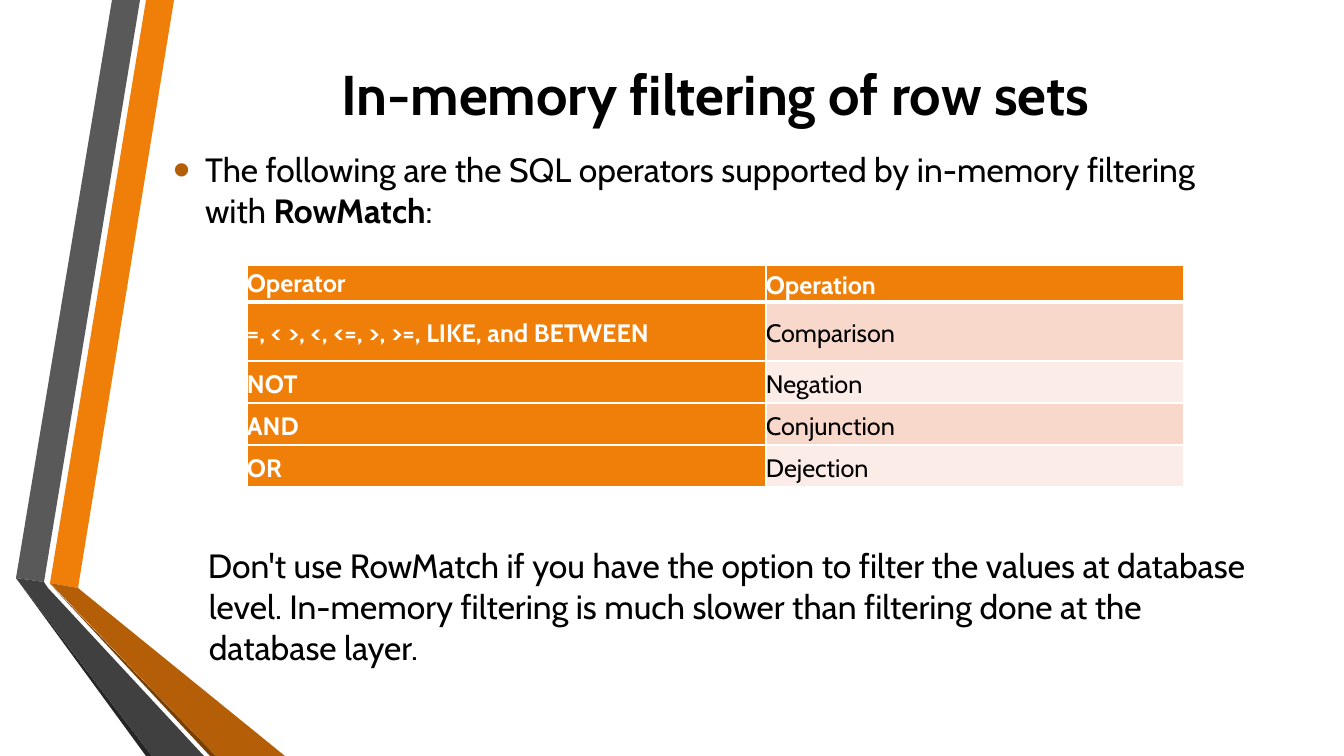
from lxml import etree
from pptx import Presentation
from pptx.dml.color import RGBColor
from pptx.enum.text import MSO_ANCHOR, MSO_AUTO_SIZE, PP_ALIGN
from pptx.oxml.ns import qn
from pptx.util import Emu, Pt

MIDDLE, TOP = MSO_ANCHOR.MIDDLE, MSO_ANCHOR.TOP
CENTER, LEFT = PP_ALIGN.CENTER, PP_ALIGN.LEFT
NO_FIT = MSO_AUTO_SIZE.NONE
SCALE = 914400 / 100.8
FONT = "Cabin"
WHITE, BLACK, ORANGE, RUST = "FFFFFF", "000000", "F07F09", "B45F07"
BANDS = ("F9D8CC", "FCECE7")


def px(length):
    """Turn pixels into EMU."""
    return Emu(round(length * SCALE))


def color(hex_string):
    """Turn a hex string into a colour."""
    return RGBColor.from_string(hex_string)


def add_element(parent, tag, **attributes):
    """Append a drawing element and return it."""
    return etree.SubElement(parent, qn(tag), attributes)


class SlideBuilder:
    """Holds the style and the current slide."""

    def __init__(self, slide):
        """Keep the slide to build on."""
        self.slide = slide

    def ribbon(self, fill, points):
        """Draw a filled polygon without an outline."""
        builder = self.slide.shapes.build_freeform(*points[0], scale=SCALE)
        builder.add_line_segments(points[1:], close=True)
        shape = builder.convert_to_shape()
        shape.shadow.inherit = False
        shape.fill.solid()
        shape.fill.fore_color.rgb = color(fill)
        shape.line.fill.background()

    def add_runs(self, paragraph, runs, size, fill=BLACK):
        """Add (text, bold) runs to a paragraph."""
        for text, bold in runs:
            run = paragraph.add_run()
            run.text = text
            run.font.name, run.font.size, run.font.bold = FONT, Pt(size), bold
            run.font.color.rgb = color(fill)

    def text(self, shape, box, runs, size, anchor=MIDDLE, align=LEFT):
        """Place a text shape, fill it and return its paragraph."""
        shape.left, shape.top, shape.width, shape.height = map(px, box)
        frame = shape.text_frame
        frame.word_wrap, frame.auto_size = True, NO_FIT
        frame.vertical_anchor = anchor
        paragraph = frame.paragraphs[0]
        paragraph.alignment = align
        self.add_runs(paragraph, runs, size)
        return paragraph

    def indent(self, paragraph, margin, first_line):
        """Set the left margin and first-line indent."""
        properties = paragraph._p.get_or_add_pPr()
        properties.set("marL", str(px(margin)))
        properties.set("indent", str(px(first_line)))
        return properties

    def bullet(self, paragraph):
        """Give a paragraph a large coloured bullet."""
        properties = self.indent(paragraph, 32, -32)
        add_element(add_element(properties, "a:buClr"), "a:srgbClr", val=RUST)
        add_element(properties, "a:buSzPct", val="145000")
        add_element(properties, "a:buFont", typeface="Arial")
        add_element(properties, "a:buChar", char="•")

    def borders(self, cell, widths):
        """Draw white cell borders, widths in points by side."""
        properties = cell._tc.get_or_add_tcPr()
        for side, width in widths.items():
            line = add_element(properties, f"a:ln{side}", w=str(Pt(width)))
            add_element(add_element(line, "a:solidFill"), "a:srgbClr", val=WHITE)

    def cell(self, cell, text, fill, ink, bold, spacing, widths):
        """Style one table cell."""
        cell.margin_left = cell.margin_right = cell.margin_top = cell.margin_bottom = 0
        cell.vertical_anchor = MIDDLE
        self.borders(cell, widths)
        cell.fill.solid()
        cell.fill.fore_color.rgb = color(fill)
        paragraph = cell.text_frame.paragraphs[0]
        paragraph.line_spacing = spacing
        self.add_runs(paragraph, [(text, bold)], 18, ink)

    def table(self, left, top, widths, heights, rows):
        """Add a table with a coloured heading row and first column."""
        table = self.slide.shapes.add_table(
            len(rows), len(widths), px(left), px(top), px(sum(widths)), px(sum(heights))
        ).table
        for column, width in zip(table.columns, widths):
            column.width = px(width)
        for row, (height, texts) in enumerate(zip(heights, rows)):
            table.rows[row].height = px(height)
            sides = {"L": 1, "R": 1, "T": 3 if row == 1 else 1, "B": 3 if row == 0 else 1}
            for column, text in enumerate(texts):
                heading = row == 0 or column == 0
                fill = ORANGE if heading else BANDS[(row - 1) % 2]
                ink = WHITE if heading else BLACK
                spacing = 1.0 if row == column == 0 else 1.15
                self.cell(table.cell(row, column), text, fill, ink, heading, spacing, sides)


RIBBONS = [
    (ORANGE, [(50, 583), (78, 588), (174, 0), (146, 0)]),
    ("595959", [(140, 0), (112, 0), (16, 578), (44, 582)]),
    ("262626", [(16, 578), (146, 756), (152, 756)]),
    ("784004", [(50, 584), (210, 756), (216, 756)]),
    (RUST, [(50, 583), (216, 756), (285, 756), (78, 588)]),
    ("404040", [(204, 756), (48, 588), (44, 582), (16, 578), (152, 756)]),
]
OPERATORS = [
    ("Operator", "Operation"),
    ("=, < >, <, <=, >, >=, LIKE, and BETWEEN", "Comparison"),
    ("NOT", "Negation"),
    ("AND", "Conjunction"),
    ("OR", "Dejection"),
]
INTRO = [
    ("The following are the SQL operators supported by in-memory filtering with ", False),
    ("RowMatch", True),
    (":", False),
]
ADVICE = (
    "Don't use RowMatch if you have the option to filter the values at database level. "
    "In-memory filtering is much slower than filtering done at the database layer."
)

presentation = Presentation()
presentation.slide_width, presentation.slide_height = px(1344), px(756)
slide = presentation.slides.add_slide(presentation.slide_layouts[1])
builder = SlideBuilder(slide)
title, body = slide.placeholders

for ribbon_fill, ribbon_points in RIBBONS:
    builder.ribbon(ribbon_fill, ribbon_points)

builder.text(title, (163, 36, 1105, 114), [("In-memory filtering of row sets", True)], 40, align=CENTER)

intro = builder.text(body, (163, 128, 1105, 123), INTRO, 24)
intro.space_after = Pt(6)
builder.bullet(intro)

builder.table(247, 265, (519, 418), (37, 59, 42, 42, 42), OPERATORS)

advice_box = slide.shapes.add_textbox(0, 0, 0, 0)
advice = builder.text(advice_box, (113, 539, 1155, 135), [(ADVICE, False)], 24, TOP)
advice.line_spacing = 1.02
builder.indent(advice, 86, -1)

presentation.save("out.pptx")
